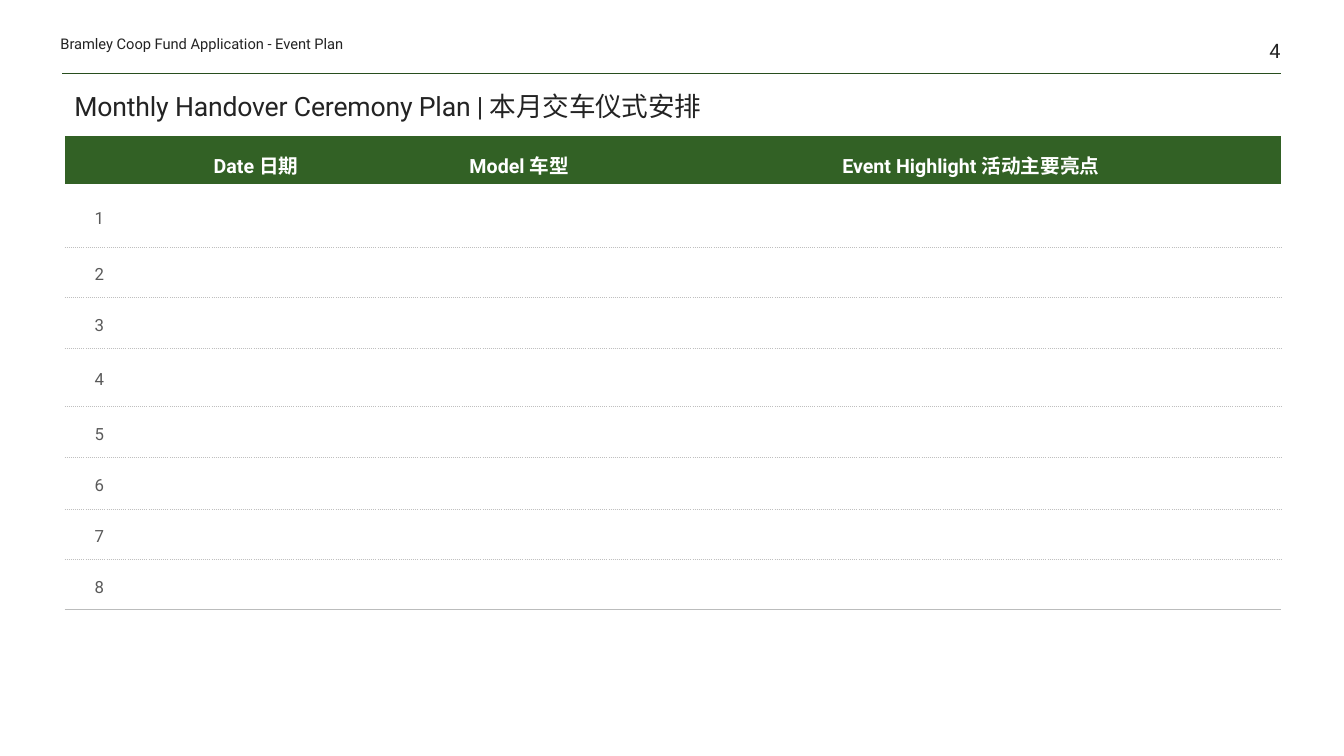
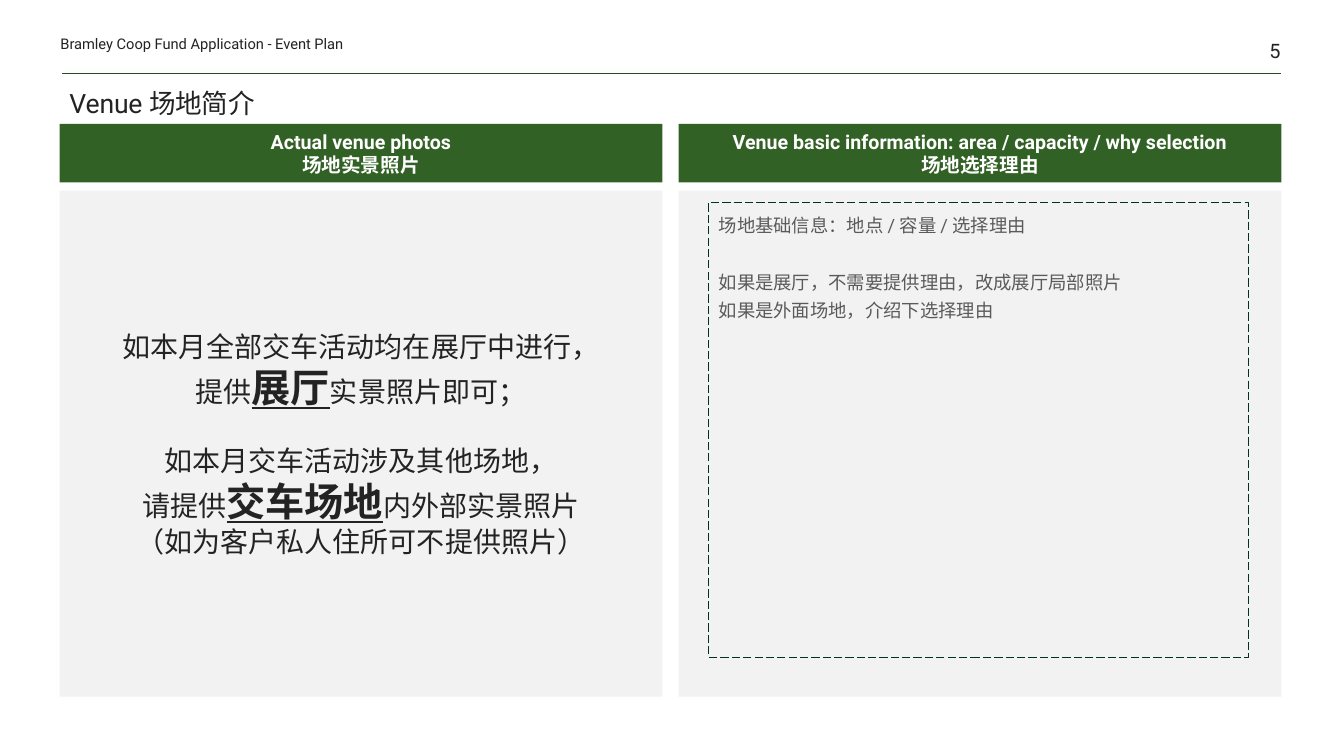
from lxml import etree
from pptx import Presentation
from pptx.dml.color import RGBColor
from pptx.enum.dml import MSO_LINE
from pptx.enum.shapes import MSO_CONNECTOR, MSO_SHAPE
from pptx.enum.text import MSO_ANCHOR, PP_ALIGN
from pptx.oxml.ns import qn
from pptx.util import Inches, Pt

FONT = "Roboto"
COLORS = {
    "ink": "232323",
    "grey_text": "5A5A5A",
    "green": "326125",
    "rule": "284E1E",
    "dash": "00321F",
    "panel": "F2F2F2",
    "white": "FFFFFF",
    "row_line": "BFBFBF",
    "last_line": "BBBCBC",
}
NO_TABLE_STYLE = "{2D5ABB26-0587-4C30-8999-92F81FD0307C}"
RUNNING_HEAD = "Bramley Coop Fund Application - Event Plan"

TABLE_HEADINGS = ["", "Date 日期", "Model 车型", "Event Highlight 活动主要亮点"]
COLUMN_WIDTHS = [0.69, 2.42, 2.8, 6.16]
ROW_HEIGHTS = [0.48, 0.62, 0.5, 0.49, 0.58, 0.51, 0.51, 0.49, 0.49]

PANEL_LEFTS = [0.59, 6.73]
PANEL_WIDTH = 5.98
PANEL_HEADINGS = [
    ["Actual venue photos", "场地实景照片"],
    ["Venue basic information: area / capacity / why selection", "场地选择理由"],
]
# Each line is a list of runs; the second run of a line is emphasised.
PHOTO_NOTE = [
    ["如本月全部交车活动均在展厅中进行，"],
    ["提供", "展厅", "实景照片即可；"],
    ["如本月交车活动涉及其他场地，"],
    ["请提供", "交车场地", "内外部实景照片"],
    ["（如为客户私人住所可不提供照片）"],
]
VENUE_NOTE = [
    ["场地基础信息：地点 / 容量 / 选择理由"],
    ["如果是展厅，不需要提供理由，改成展厅局部照片"],
    ["如果是外面场地，介绍下选择理由"],
]


def color(name):
    return RGBColor.from_string(COLORS[name])


def style_paragraph(paragraph, size, color_name, bold=False,
                    align=PP_ALIGN.LEFT, line_spacing=1.0):
    paragraph.alignment = align
    paragraph.line_spacing = line_spacing
    font = paragraph.font
    font.name, font.size, font.bold = FONT, Pt(size), bold
    font.color.rgb = color(color_name)


def write_lines(text_frame, lines, size, color_name, gaps=None, **style):
    """Write one paragraph per list of runs; gaps maps a line index to points before it."""
    text_frame.word_wrap = True
    for index, runs in enumerate(lines):
        paragraph = text_frame.add_paragraph() if index else text_frame.paragraphs[0]
        style_paragraph(paragraph, size, color_name, **style)
        if gaps and index in gaps:
            paragraph.space_before = Pt(gaps[index])
        for position, text in enumerate(runs):
            run = paragraph.add_run()
            run.text = text
            if position == 1:
                run.font.size, run.font.bold, run.font.underline = Pt(28), True, True


def add_text(slide, box, text, size, inset=0.0, **style):
    shape = slide.shapes.add_textbox(*map(Inches, box))
    frame = shape.text_frame
    frame.vertical_anchor = MSO_ANCHOR.BOTTOM
    frame.margin_left = frame.margin_right = Inches(inset)
    frame.margin_top = frame.margin_bottom = Inches(inset / 2)
    write_lines(frame, [[text]], size, "ink", **style)
    return shape


def add_title(slide, box, text):
    shape = add_text(slide, box, text, 19, inset=0.1, line_spacing=0.85)
    run = shape.text_frame.paragraphs[0].runs[0]
    run.font._element.set("spc", "-10")


def add_rectangle(slide, box, fill=None):
    shape = slide.shapes.add_shape(MSO_SHAPE.RECTANGLE, *map(Inches, box))
    shape.shadow.inherit = False
    shape.line.fill.background()
    if fill:
        shape.fill.solid()
        shape.fill.fore_color.rgb = color(fill)
    else:
        shape.fill.background()
    return shape


def add_rule(slide):
    rule = slide.shapes.add_connector(
        MSO_CONNECTOR.STRAIGHT, *map(Inches, (0.62, 0.73, 12.71, 0.73)))
    rule.line.color.rgb = color("rule")
    rule.line.width = Pt(0.5)
    etree.SubElement(rule._element.spPr, qn("a:effectLst"))


def add_framed_slide(presentation, number):
    """Add a blank slide with the running head, page number and rule."""
    slide = presentation.slides.add_slide(presentation.slide_layouts[6])
    add_rule(slide)
    add_text(slide, (0.6, 0.29, 4.17, 0.23), RUNNING_HEAD, 10.5)
    add_text(slide, (11.87, 0, 0.83, 0.62), str(number), 14.2, align=PP_ALIGN.RIGHT)
    return slide


def set_bottom_border(cell, color_name, width, dash):
    line = etree.SubElement(cell._tc.get_or_add_tcPr(), qn("a:lnB"), w=str(Pt(width)))
    fill = etree.SubElement(line, qn("a:solidFill"))
    etree.SubElement(fill, qn("a:srgbClr"), val=COLORS[color_name])
    etree.SubElement(line, qn("a:prstDash"), val=dash)


def fill_cell(cell, text, size, color_name, vertical_inset, bold=False):
    cell.vertical_anchor = MSO_ANCHOR.MIDDLE
    cell.margin_left = cell.margin_right = Inches(0.12)
    cell.margin_top = cell.margin_bottom = Inches(vertical_inset)
    cell.text = text
    style_paragraph(cell.text_frame.paragraphs[0], size, color_name, bold,
                    PP_ALIGN.CENTER, 1.3)


def add_plan_table(slide):
    frame = slide.shapes.add_table(
        len(ROW_HEIGHTS), len(COLUMN_WIDTHS), Inches(0.64), Inches(1.35),
        Inches(sum(COLUMN_WIDTHS)), Inches(sum(ROW_HEIGHTS)))
    table = frame.table
    table.horz_banding = False
    table._tbl.tblPr.find(qn("a:tableStyleId")).text = NO_TABLE_STYLE
    for column, width in zip(table.columns, COLUMN_WIDTHS):
        column.width = Inches(width)

    last_row = len(ROW_HEIGHTS) - 1
    for row_index, height in enumerate(ROW_HEIGHTS):
        row = table.rows[row_index]
        row.height = Inches(height)
        for column_index, cell in enumerate(row.cells):
            if row_index == 0:
                fill_cell(cell, TABLE_HEADINGS[column_index], 14, "white", 0.06, bold=True)
                cell.fill.solid()
                cell.fill.fore_color.rgb = color("green")
                continue
            if row_index == last_row:
                set_bottom_border(cell, "last_line", 0.5, "solid")
            else:
                set_bottom_border(cell, "row_line", 0.25, "sysDot")
            cell.fill.background()
            label = "" if column_index else str(row_index)
            fill_cell(cell, label, 12, "grey_text", 0.12)


def add_venue_panel(slide, left, heading):
    """Add a green heading band over a grey panel and return the panel."""
    band = add_rectangle(slide, (left, 1.23, PANEL_WIDTH, 0.58), "green")
    band.text_frame.vertical_anchor = MSO_ANCHOR.MIDDLE
    write_lines(band.text_frame, [[line] for line in heading], 14, "white",
                bold=True, align=PP_ALIGN.CENTER)
    return add_rectangle(slide, (left, 1.89, PANEL_WIDTH, 5.02), "panel")


def add_venue_note(slide):
    note = add_rectangle(slide, (7.03, 2.01, 5.35, 4.51))
    note.line.color.rgb = color("dash")
    note.line.width = Pt(0.75)
    note.line.dash_style = MSO_LINE.LONG_DASH
    note.text_frame.vertical_anchor = MSO_ANCHOR.TOP
    write_lines(note.text_frame, VENUE_NOTE, 13.1, "grey_text",
                gaps={1: 20}, line_spacing=1.3)


def build_plan_slide(presentation):
    slide = add_framed_slide(presentation, 4)
    add_title(slide, (0.64, 0.74, 12.07, 0.52),
              "Monthly Handover Ceremony Plan | 本月交车仪式安排")
    add_plan_table(slide)


def build_venue_slide(presentation):
    slide = add_framed_slide(presentation, 5)
    add_title(slide, (0.59, 0.74, 12.12, 0.49), "Venue 场地简介")
    photo_panel, _ = [add_venue_panel(slide, left, heading)
                      for left, heading in zip(PANEL_LEFTS, PANEL_HEADINGS)]
    photo_panel.text_frame.vertical_anchor = MSO_ANCHOR.MIDDLE
    write_lines(photo_panel.text_frame, PHOTO_NOTE, 20, "ink",
                gaps={2: 24}, align=PP_ALIGN.CENTER)
    add_venue_note(slide)


def main():
    presentation = Presentation()
    presentation.slide_width = Inches(13.33)
    presentation.slide_height = Inches(7.5)
    build_plan_slide(presentation)
    build_venue_slide(presentation)
    presentation.save("out.pptx")


if __name__ == "__main__":
    main()
